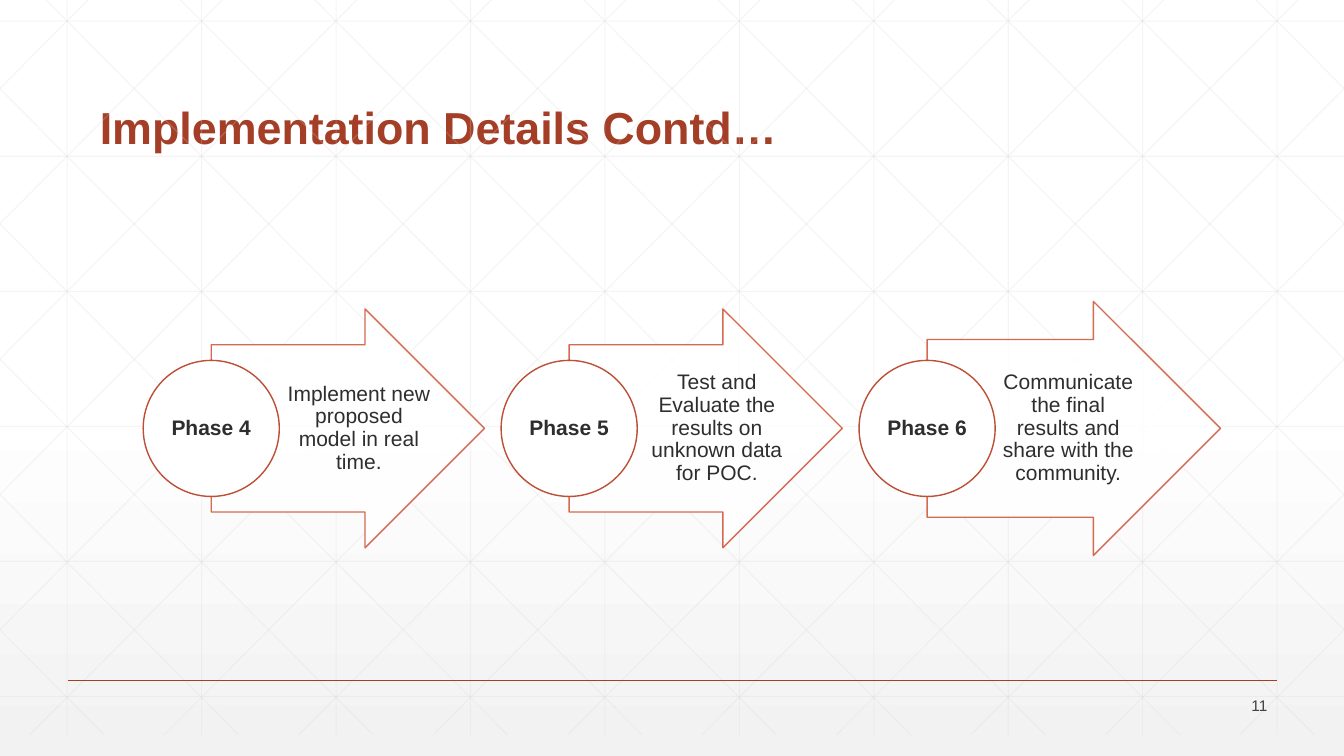
from pptx import Presentation
from pptx.dml.color import RGBColor
from pptx.enum.shapes import MSO_CONNECTOR, MSO_SHAPE
from pptx.enum.text import MSO_ANCHOR, MSO_AUTO_SIZE, PP_ALIGN
from pptx.oxml.xmlchemy import OxmlElement
from pptx.util import Inches, Pt

WIDE, HIGH = 13.33, 7.5
COLORS = {"white": "FFFFFF", "base": "F2F2F2", "grid": "D8D8D8",
          "rust": "A43E27", "arrow": "D05A3E", "ring": "BC4F35",
          "text": "2D2E2D", "page": "414241"}
PHASES = [
    ("Phase 4", "Implement new proposed model in real time.", 2.71, 2.37, 1.55),
    ("Phase 5", "Test and Evaluate the results on unknown data for POC.",
     2.71, 2.37, 1.55),
    ("Phase 6", "Communicate the final results and share with the community.",
     2.91, 2.52, 1.42),
]


def tint(name):
    """Return the named colour."""
    return RGBColor.from_string(COLORS[name])


def fade(shape, part):
    """Make the fill and line of a shape partly opaque."""
    for node in shape.element.xpath("./p:spPr//a:srgbClr"):
        alpha = OxmlElement("a:alpha")
        alpha.set("val", str(part * 1000))
        node.append(alpha)


def write(shape, text, size=15, color="text", bold=False, align=PP_ALIGN.CENTER,
          anchor=MSO_ANCHOR.MIDDLE, pads=(0.1, 0.05, 0.1, 0.05), lead=0.9):
    """Put formatted text in a shape."""
    frame = shape.text_frame
    frame.word_wrap = True
    frame.auto_size = MSO_AUTO_SIZE.NONE
    frame.vertical_anchor = anchor
    (frame.margin_left, frame.margin_top,
     frame.margin_right, frame.margin_bottom) = map(Inches, pads)
    para = frame.paragraphs[0]
    para.alignment = align
    para.line_spacing = lead
    run = para.add_run()
    run.text = text
    run.font.name = "Arial"
    run.font.size = Pt(size)
    run.font.bold = bold
    run.font.color.rgb = tint(color)


def rule(slide, start, end, color, width):
    """Draw a straight line between two points."""
    line = slide.shapes.add_connector(
        MSO_CONNECTOR.STRAIGHT, *map(Inches, (*start, *end)))
    line.line.color.rgb = tint(color)
    line.line.width = Pt(width)
    line.element.spPr.append(OxmlElement("a:effectLst"))
    return line


def mesh(slide, top, low):
    """Draw the pale grid and its diagonals between two heights."""
    step = 4 / 3
    ends = [((step * (i + 0.5), top), (step * (i + 0.5), low)) for i in range(10)]
    ends += [((0, 0.21 + 1.34 * i), (WIDE, 0.21 + 1.34 * i)) for i in range(6)]
    slope = 7.45 / 7.5
    for i in range(-5, 10):
        left = 0.25 + step * i
        right = left + (low - top) * slope
        near, far = max(left, 0), min(right, WIDE)
        head = top + (near - left) / slope
        foot = top + (far - left) / slope
        ends.append(((near, head), (far, foot)))
        ends.append(((WIDE - near, head), (WIDE - far, foot)))
    for start, end in ends:
        fade(rule(slide, start, end, "grid", 0.75), 25)


def shade(slide):
    """Fill the background from white to pale grey."""
    fill = slide.background.fill
    fill.gradient()
    fill.gradient_angle = 270
    for stop, place, name in zip(fill.gradient_stops, (0.53, 1), ("white", "base")):
        stop.position = place
        stop.color.rgb = tint(name)


def form(slide, kind, box, color):
    """Add a white shape with a thin coloured edge."""
    shape = slide.shapes.add_shape(kind, *map(Inches, box))
    shape.shadow.inherit = False
    shape.fill.solid()
    shape.fill.fore_color.rgb = tint("white")
    shape.line.color.rgb = tint(color)
    shape.line.width = Pt(1)
    return shape


def label(slide, box, text, **style):
    """Add a text box."""
    write(slide.shapes.add_textbox(*map(Inches, box)), text, **style)


def header(slide, box, text):
    """Place the title."""
    title = slide.shapes.title
    title.left, title.top, title.width, title.height = map(Inches, box)
    write(title, text, size=32, color="rust", bold=True,
          align=PP_ALIGN.LEFT, anchor=MSO_ANCHOR.BOTTOM)


def phase(slide, left, mid, name, text, width, height, room):
    """Draw one arrow with its circle, centred on a height."""
    disc, tall = 1.35, 1.66
    arrow = form(slide, MSO_SHAPE.RIGHT_ARROW,
                 (left + disc / 2, mid - height / 2, width, height), "arrow")
    arrow.adjustments[0] = 0.7
    arrow.adjustments[1] = 0.5
    fade(arrow, 90)
    label(slide, (left + disc, mid - tall / 2, room, tall), text,
          pads=(0.05, 0.01, 0.02, 0.01))
    ring = form(slide, MSO_SHAPE.OVAL, (left, mid - disc / 2, disc, disc), "ring")
    write(ring, name, bold=True, pads=(0.01,) * 4)


def footer(slide, left, top, width):
    """Draw the bottom rule and the page number."""
    rule(slide, (left, top), (left + width, top), "rust", 1)
    label(slide, (left + width - 1, top + 0.13, 1, 0.24), "11", size=11,
          color="page", align=PP_ALIGN.RIGHT, lead=1)


def main():
    """Build the slide and save it."""
    deck = Presentation()
    deck.slide_width, deck.slide_height = Inches(WIDE), Inches(HIGH)
    slide = deck.slides.add_slide(deck.slide_layouts[5])
    shade(slide)
    mesh(slide, -0.21, 7.29)
    header(slide, (0.89, 0.33, 10.5, 1.25), "Implementation Details Contd…")
    for i, facts in enumerate(PHASES):
        phase(slide, 1.42 + 3.55 * i, 4.25, *facts)
    footer(slide, 0.67, 6.75, 12)
    deck.save("out.pptx")


if __name__ == "__main__":
    main()
